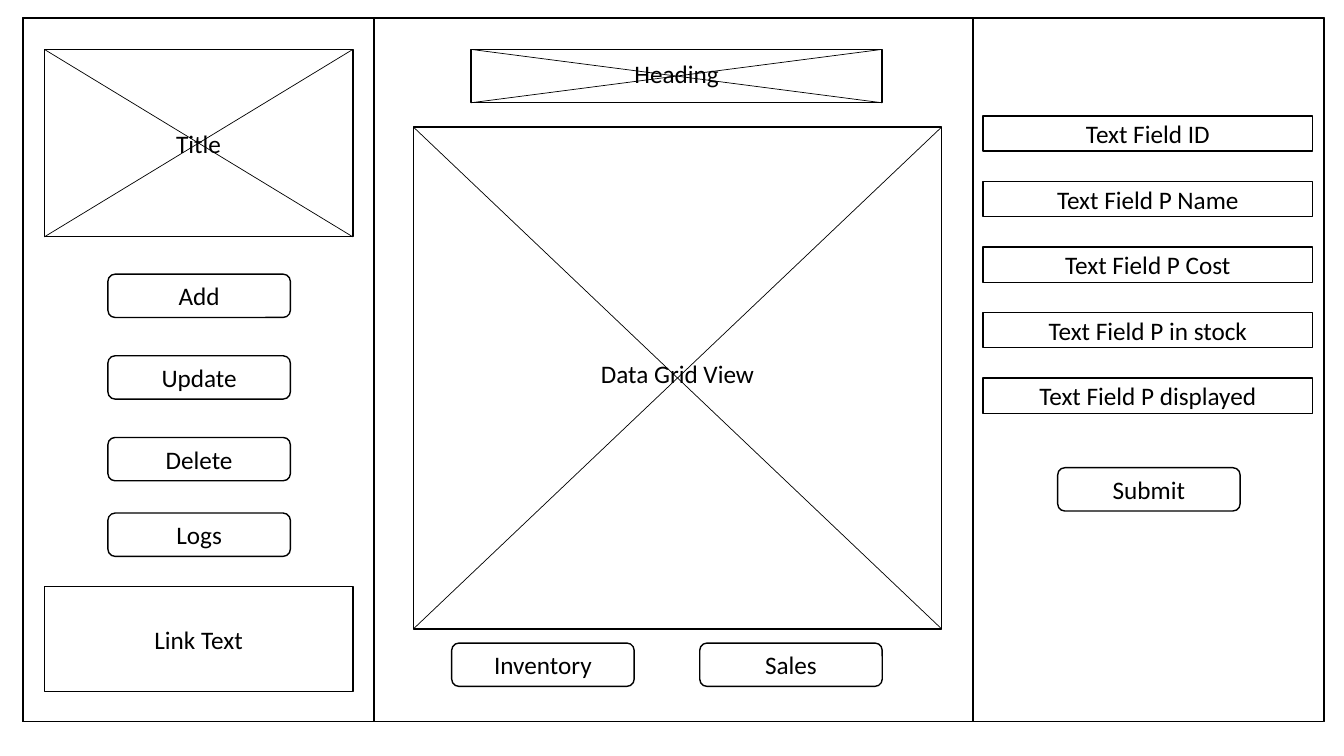
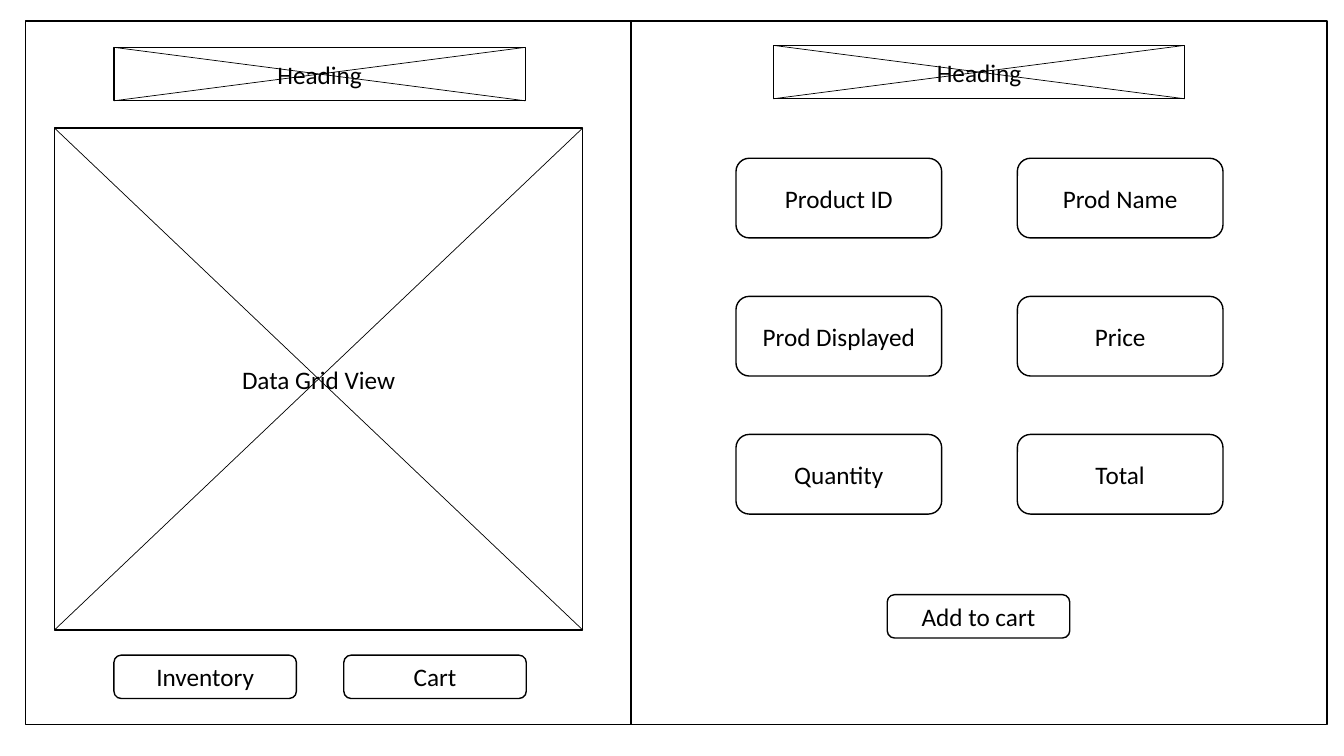
from dataclasses import dataclass

from lxml import etree
from pptx import Presentation
from pptx.dml.color import RGBColor as Rgb
from pptx.enum.shapes import MSO_CONNECTOR as Link, MSO_SHAPE as Kind
from pptx.enum.text import MSO_ANCHOR as Anchor, PP_ALIGN as Align
from pptx.oxml.ns import qn
from pptx.util import Inches, Pt


@dataclass(frozen=True)
class Theme:
    ink: Rgb = Rgb(0, 0, 0)
    paper: Rgb = Rgb(255, 255, 255)
    font: str = "Calibri"
    size: int = 18
    edge: float = 1
    thin: float = 0.5


THEME = Theme()
BUTTON = (1.81, 0.43)
CARD = (2.04, 0.79)
FIELD = (3.27, 0.35)
HEAD = (4.08, 0.53)
GRID = (5.24, 4.98)


def write(shape, text, size=THEME.size, color=THEME.ink, align=Align.CENTER, lift=0):
    """Set centred text, raised by lift inches."""
    frame = shape.text_frame
    frame.word_wrap = True
    frame.vertical_anchor = Anchor.MIDDLE
    frame.margin_top = 0
    frame.margin_bottom = Inches(2 * lift)
    para = frame.paragraphs[0]
    para.alignment = align
    run = para.add_run()
    run.text = text
    run.font.name = THEME.font
    run.font.size = Pt(size)
    run.font.color.rgb = color


def box(slide, at, size, text="", kind=Kind.RECTANGLE, **style):
    shape = slide.shapes.add_shape(kind, *map(Inches, at + size))
    shape.shadow.inherit = False
    shape.fill.solid()
    shape.fill.fore_color.rgb = THEME.paper
    shape.line.color.rgb = THEME.ink
    shape.line.width = Pt(THEME.edge)
    if text:
        write(shape, text, **style)
    return shape


def button(slide, at, text, size=BUTTON):
    box(slide, at, size, text, Kind.ROUNDED_RECTANGLE)


def line(slide, start, end):
    link = slide.shapes.add_connector(Link.STRAIGHT, *map(Inches, start + end))
    link.line.color.rgb = THEME.ink
    link.line.width = Pt(THEME.thin)
    etree.SubElement(link._element.spPr, qn("a:effectLst"))


def crossed(slide, at, size, text, **style):
    """Draw a labelled box with both of its diagonals."""
    box(slide, at, size, text, **style)
    left, top = at
    right, base = left + size[0], top + size[1]
    line(slide, (left, top), (right, base))
    line(slide, (right, top), (left, base))


def stock(slide):
    top, side, tall = 0.18, 3.48, 6.98
    box(slide, (0.23, top), (12.91, tall))
    for left in (0.23, 9.65):
        box(slide, (left, top), (side, tall))

    crossed(slide, (0.44, 0.49), (3.06, 1.86), "Title")
    menu = {"Add": 2.72, "Update": 3.53, "Delete": 4.34, "Logs": 5.09}
    for name, y in menu.items():
        button(slide, (1.07, y), name)
    box(slide, (0.44, 5.82), (3.06, 1.04), "Link Text")

    crossed(slide, (4.67, 0.49), HEAD, "Heading", lift=0.03)
    crossed(slide, (4.1, 1.26), GRID, "Data Grid View", lift=0.05)
    button(slide, (4.48, 6.38), "Inventory")
    button(slide, (6.94, 6.38), "Sales")

    fields = ("ID", "P Name", "P Cost", "P in stock", "P displayed")
    for row, name in enumerate(fields):
        box(slide, (9.75, 1.15 + 0.65 * row), FIELD, f"Text Field {name}")
    button(slide, (10.49, 4.64), "Submit")


def sales(slide):
    box(slide, (0.25, 0.21), (12.91, 6.98))
    box(slide, (6.26, 0.21), (6.9, 6.98))

    crossed(slide, (1.13, 0.47), HEAD, "Heading")
    crossed(slide, (0.54, 1.27), GRID, "Data Grid View")
    button(slide, (1.13, 6.5), "Inventory")
    button(slide, (3.41, 6.5), "Cart")

    crossed(slide, (7.67, 0.45), HEAD, "Heading")
    cards = ("Product ID", "Prod Name", "Prod Displayed", "Price", "Quantity", "Total")
    for i, name in enumerate(cards):
        row, col = divmod(i, 2)
        button(slide, (7.3 + 2.79 * col, 1.57 + 1.37 * row), name, CARD)
    button(slide, (8.8, 5.9), "Add to cart")


def main():
    deck = Presentation()
    deck.slide_width = Inches(13.33)
    deck.slide_height = Inches(7.5)
    for build in (stock, sales):
        build(deck.slides.add_slide(deck.slide_layouts[6]))
    deck.save("out.pptx")


if __name__ == "__main__":
    main()
